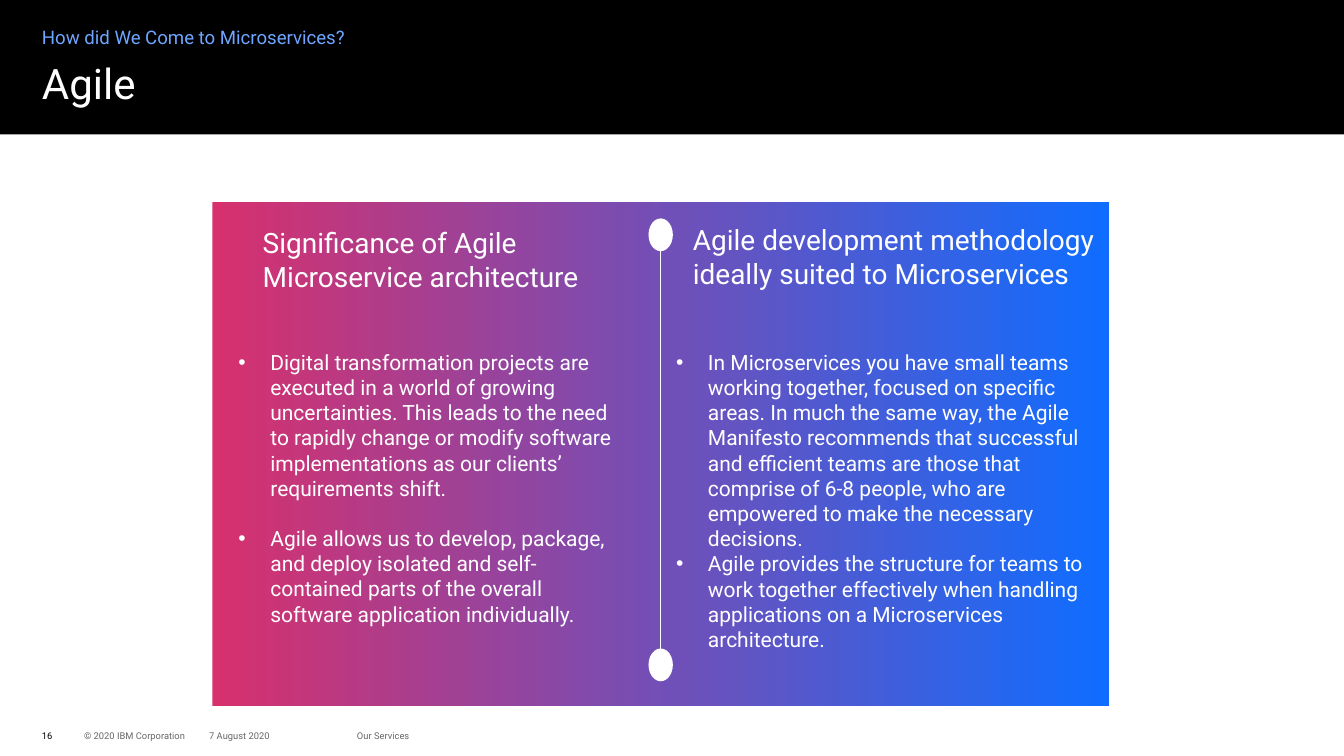
from copy import deepcopy

from lxml.etree import SubElement
from pptx import Presentation
from pptx.dml.color import RGBColor
from pptx.enum.shapes import MSO_CONNECTOR as LINE, MSO_SHAPE as SHAPE
from pptx.enum.text import MSO_ANCHOR as ANCHOR
from pptx.oxml.ns import qn
from pptx.util import Inches, Pt

BLACK, WHITE, GREY, SKY = "000000", "FFFFFF", "666666", "6EA6FF"
FADE = [(0, "D7306D"), (0.52, "6F50B9"), (1, "0F6DFF")]


def paint(code):
    return RGBColor.from_string(code)


class Board:
    font = "Roboto"
    pad = (0.1, 0.05)
    hang = 0.38

    def __init__(self, slide):
        self.shapes = slide.shapes

    def text(self, words, box, size=18, color=WHITE, pad=(0, 0), gap=0,
             lead=None, bullet=False, anchor=ANCHOR.TOP):
        """Add a text box; words is a string or a list of paragraphs."""
        frame = self.shapes.add_textbox(*map(Inches, box)).text_frame
        frame.word_wrap = True
        frame.vertical_anchor = anchor
        frame.margin_left = frame.margin_right = Inches(pad[0])
        frame.margin_top = frame.margin_bottom = Inches(pad[1])
        for i, line in enumerate([words] if isinstance(words, str) else words):
            para = frame.add_paragraph() if i else frame.paragraphs[0]
            if lead:
                para.line_spacing = lead
            if i and gap:
                para.space_before = Pt(gap)
            if bullet:
                self.bullet(para)
            run = para.add_run()
            run.text = line
            run.font.name, run.font.size = self.font, Pt(size)
            run.font.color.rgb = paint(color)

    def bullet(self, para):
        props = para._p.get_or_add_pPr()
        props.set("marL", str(Inches(self.hang)))
        props.set("indent", str(-Inches(self.hang)))
        SubElement(props, qn("a:buFont"), typeface="Arial")
        SubElement(props, qn("a:buChar"), char="•")

    def shape(self, kind, box, color=WHITE):
        item = self.shapes.add_shape(kind, *map(Inches, box))
        item.shadow.inherit = False
        item.line.fill.background()
        item.fill.solid()
        item.fill.fore_color.rgb = paint(color)
        return item

    def blend(self, box, stops):
        """Add a rectangle filled with a left-to-right gradient of three stops."""
        item = self.shape(SHAPE.RECTANGLE, box)
        item.fill.gradient()
        item.fill.gradient_angle = 0
        marks = item._element.spPr.find(".//" + qn("a:gsLst"))
        marks.insert(1, deepcopy(marks[0]))
        for mark, (place, color) in zip(item.fill.gradient_stops, stops):
            mark.position = place
            mark.color.rgb = paint(color)

    def line(self, start, end, color=WHITE, width=1):
        item = self.shapes.add_connector(LINE.STRAIGHT, *map(Inches, start + end))
        item.line.color.rgb = paint(color)
        item.line.width = Pt(width)
        SubElement(item._element.spPr, qn("a:effectLst"))


def main():
    deck = Presentation()
    deck.slide_width, deck.slide_height = Inches(16), Inches(9)
    board = Board(deck.slides.add_slide(deck.slide_layouts[6]))

    for words, left, width, color in [
        ("16", 0.5, 0.36, BLACK),
        ("© 2020 IBM Corporation", 1, 1.45, GREY),
        ("7 August 2020", 2.49, 1.5, GREY),
        ("Our Services", 4.25, 2.5, GREY),
    ]:
        board.text(words, (left, 8.64, width, 0.24), size=8, color=color,
                   anchor=ANCHOR.MIDDLE)

    board.shape(SHAPE.RECTANGLE, (0, 0, 16, 1.6), BLACK)
    board.text("How did We Come to Microservices?", (0.5, 0.29, 7.2, 0.3),
               size=16, color=SKY, lead=1.05)
    board.text("Agile", (0.5, 0.75, 15, 0.8), size=36, lead=0.9)

    board.blend((2.53, 2.4, 10.67, 6.01), FADE)
    for top in (2.6, 7.72):
        board.shape(SHAPE.OVAL, (7.72, top, 0.29, 0.39))
    board.line((7.86, 2.8), (7.86, 7.92))

    for head, head_box, points, box, gap in [
        ("Significance of Agile Microservice architecture",
         (3.03, 2.64, 4.76, 0.91),
         ["Digital transformation projects are executed in a world of growing "
          "uncertainties. This leads to the need to rapidly change or modify "
          "software implementations as our clients’ requirements shift.",
          "Agile allows us to develop, package, and deploy isolated and "
          "self-contained parts of the overall software application individually."],
         (2.74, 4.11, 4.82, 3.43), 21.5),
        ("Agile development methodology ideally suited to Microservices",
         (8.15, 2.6, 4.98, 0.91),
         ["In Microservices you have small teams working together, focused on "
          "specific areas. In much the same way, the Agile Manifesto recommends "
          "that successful and efficient teams are those that comprise of 6-8 "
          "people, who are empowered to make the necessary decisions.",
          "Agile provides the structure for teams to work together effectively "
          "when handling applications on a Microservices architecture."],
         (7.95, 4.11, 5.13, 3.74), 0),
    ]:
        board.text(head, head_box, size=24, pad=board.pad)
        board.text(points, box, pad=board.pad, gap=gap, bullet=True)

    deck.save("out.pptx")


if __name__ == "__main__":
    main()
